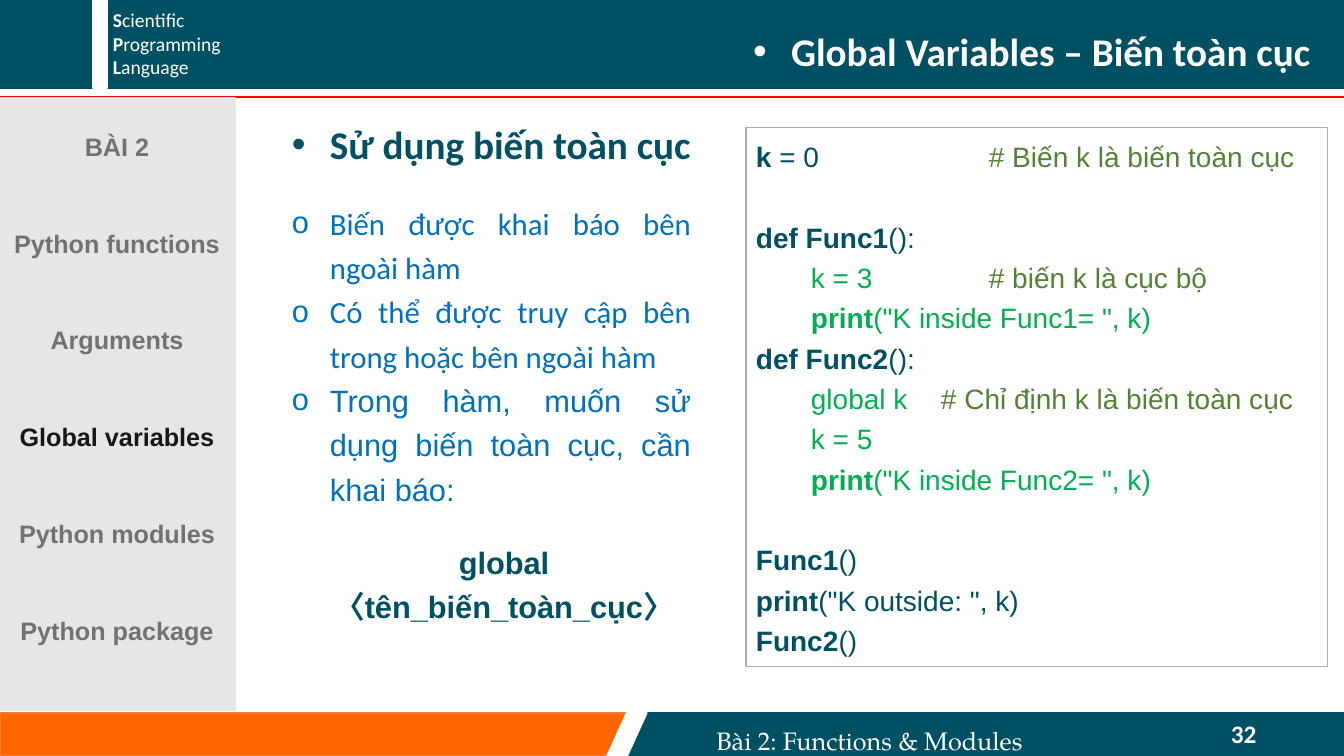
from dataclasses import dataclass

from lxml import etree
from pptx import Presentation
from pptx.dml.color import RGBColor
from pptx.enum.shapes import MSO_CONNECTOR, MSO_SHAPE
from pptx.enum.text import MSO_ANCHOR, MSO_AUTO_SIZE, PP_ALIGN
from pptx.oxml.ns import qn
from pptx.util import Emu, Pt

RECT, SLANT = MSO_SHAPE.RECTANGLE, MSO_SHAPE.PARALLELOGRAM
STRAIGHT = MSO_CONNECTOR.STRAIGHT
LEFT, CENTER, RIGHT, JUSTIFY = PP_ALIGN.LEFT, PP_ALIGN.CENTER, PP_ALIGN.RIGHT, PP_ALIGN.JUSTIFY
TOP, MIDDLE = MSO_ANCHOR.TOP, MSO_ANCHOR.MIDDLE
FIT_SHAPE, NO_FIT = MSO_AUTO_SIZE.SHAPE_TO_FIT_TEXT, MSO_AUTO_SIZE.NONE
WIDTH, HEIGHT = 1344, 756
EMU_PER_PX = 12192000 / WIDTH
HANG = 38


@dataclass(frozen=True)
class Theme:
    """Colours, fonts and type sizes of the slide."""
    teal: str = "005064"
    white: str = "FFFFFF"
    orange: str = "FF6600"
    orange_edge: str = "ED7D31"
    red: str = "FF0000"
    panel: str = "E7E6E6"
    muted: str = "767171"
    current: str = "181717"
    blue: str = "0070C0"
    green: str = "00B050"
    comment: str = "548235"
    frame: str = "AFABAB"
    sans: str = "Arial"
    heading: str = "Calibri"
    serif: str = "TeX Gyre Pagella"
    tagline_size: int = 14
    small_size: int = 18
    code_size: int = 20
    body_size: int = 22
    title_size: int = 28


THEME = Theme()

TOPICS = ["BÀI 2", "Python functions", "Arguments", "Global variables",
          "Python modules", "Python package"]
CURRENT_TOPIC = "Global variables"
RULES = [
    ("Biến được khai báo bên ngoài hàm", THEME.heading),
    ("Có thể được truy cập bên trong hoặc bên ngoài hàm", THEME.heading),
    ("Trong hàm, muốn sử dụng biến toàn cục, cần khai báo:", THEME.sans),
]

INDENT_STOP, COMMENT_STOP, LONG_COMMENT_STOP = 55, 233, 185
BLANK_LINE = 28.8
BOLD = {"bold": True}
LOCAL = {"color": THEME.green}
LOCAL_BOLD = {"color": THEME.green, "bold": True}
COMMENT = {"color": THEME.comment}
CODE = [
    [("k", BOLD), (" = 0\t", {}), ("# Biến k là biến toàn cục", COMMENT)],
    [("def Func1", BOLD), ("():", {})],
    [("\tk = 3\t", LOCAL), ("# biến k là cục bộ", COMMENT)],
    [("\tprint", LOCAL_BOLD), ("(\"K inside Func1= \", k)", LOCAL)],
    [("def Func2", BOLD), ("():", {})],
    [("\tglobal k\t", LOCAL), ("# Chỉ định k là biến toàn cục", COMMENT)],
    [("\tk = 5", LOCAL)],
    [("\tprint", LOCAL_BOLD), ("(\"K inside Func2= \", k)", LOCAL)],
    [("Func1", BOLD), ("()", {})],
    [("print", BOLD), ("(\"K outside: \", k)", {})],
    [("Func2", BOLD), ("()", {})],
]
LINES_AFTER_BLANK = (1, 8)
LONG_COMMENT_LINE = 5


def px(length):
    """Turn a length in px into EMU."""
    return Emu(round(length * EMU_PER_PX))


def rgb(color):
    """Turn a hex string into a colour."""
    return RGBColor.from_string(color)


def add_block(slide, box, fill, edge, edge_width=1, preset=RECT):
    """Add a preset shape with a fill, which may be None, and an outline."""
    block = slide.shapes.add_shape(preset, *map(px, box))
    block.shadow.inherit = False
    if fill:
        block.fill.solid()
        block.fill.fore_color.rgb = rgb(fill)
    else:
        block.fill.background()
    block.line.color.rgb = rgb(edge)
    block.line.width = Pt(edge_width)
    return block


def add_rule(slide, start, end, color, width):
    """Add a straight line without a shadow."""
    rule = slide.shapes.add_connector(STRAIGHT, *map(px, start + end))
    rule.line.color.rgb = rgb(color)
    rule.line.width = Pt(width)
    etree.SubElement(rule._element.spPr, qn("a:effectLst"))


def prepare(frame, grow=False, anchor=TOP):
    """Set wrapping, fitting and anchoring of a text frame."""
    frame.word_wrap = True
    frame.auto_size = FIT_SHAPE if grow else NO_FIT
    frame.vertical_anchor = anchor
    return frame


def add_text_frame(slide, box, grow=True):
    """Add a text box and return its frame."""
    return prepare(slide.shapes.add_textbox(*map(px, box)).text_frame, grow)


def add_paragraph(frame, align=LEFT, spacing=None, before=None, bullet=None, stops=()):
    """Add a paragraph, using the empty first one when there is one."""
    first = frame.paragraphs[0]
    paragraph = frame.add_paragraph() if first.runs else first
    paragraph.alignment = align
    paragraph.line_spacing = spacing
    if before:
        paragraph.space_before = Pt(before)
    properties = paragraph._p.get_or_add_pPr()
    if bullet:
        properties.set("marL", str(px(HANG)))
        properties.set("indent", str(-px(HANG)))
        etree.SubElement(properties, qn("a:buFont"), typeface=THEME.sans)
        etree.SubElement(properties, qn("a:buChar"), char=bullet)
    if stops:
        tabs = etree.SubElement(properties, qn("a:tabLst"))
        for stop in stops:
            etree.SubElement(tabs, qn("a:tab"), pos=str(px(stop)), algn="l")
    return paragraph


def write(paragraph, text, size, color=THEME.teal, font=THEME.sans, bold=False):
    """Write a formatted piece of text into a paragraph."""
    run = paragraph.add_run()
    run.text = text
    run.font.size = Pt(size)
    run.font.name = font
    run.font.bold = bold
    run.font.color.rgb = rgb(color)


def add_header(slide):
    """Add the top band with the course name and the slide title."""
    add_block(slide, (0, 0, WIDTH, 88), THEME.teal, THEME.teal)
    add_block(slide, (93, 0, 14, 88), THEME.white, THEME.white)
    course = add_text_frame(slide, (103, 3, 210, 82))
    for word in ("Scientific", "Programming", "Language"):
        line = add_paragraph(course)
        for part, bold in ((word[0], True), (word[1:], False)):
            write(line, part, THEME.tagline_size, THEME.white, THEME.heading, bold)
    add_rule(slide, (0, 97), (WIDTH, 97), THEME.red, 1.5)
    title = add_paragraph(add_text_frame(slide, (338, 13, 982, 68)), RIGHT, 1.2, bullet="•")
    write(title, "Global Variables – Biến toàn cục", THEME.title_size,
          THEME.white, THEME.heading, True)


def add_footer(slide):
    """Add the bottom band with the lesson name and the page number."""
    add_block(slide, (0, 713, 627, 43), THEME.orange, THEME.orange_edge)
    add_block(slide, (627, 713, 717, 43), THEME.teal, THEME.teal)
    divider = add_block(slide, (607, 713, 40, 43), THEME.white, THEME.white, preset=SLANT)
    divider.adjustments[0] = 0.49
    page = add_paragraph(add_text_frame(slide, (1221, 713, 108, 40), grow=False))
    write(page, "32", THEME.small_size, THEME.white, THEME.heading, True)
    lesson = add_paragraph(add_text_frame(slide, (627, 714, 485, 46)), CENTER, 1.2, before=4)
    write(lesson, "Bài 2: Functions & Modules", THEME.small_size, THEME.white, THEME.serif)


def add_sidebar(slide):
    """Add the list of topics with the current one in dark."""
    panel = add_block(slide, (-1, 98, 236, 612), THEME.panel, THEME.panel)
    topics = prepare(panel.text_frame, anchor=MIDDLE)
    topics.margin_bottom = px(103)
    for topic in TOPICS:
        color = THEME.current if topic == CURRENT_TOPIC else THEME.muted
        write(add_paragraph(topics, CENTER, 3.2), topic, THEME.small_size, color, bold=True)


def add_explanation(slide):
    """Add the heading, the rules and the declaration form."""
    heading = add_paragraph(add_text_frame(slide, (282, 106, 977, 62)), spacing=1.2, bullet="•")
    write(heading, "Sử dụng biến toàn cục", THEME.title_size, font=THEME.heading, bold=True)
    rules = add_text_frame(slide, (282, 192, 419, 324))
    for rule, font in RULES:
        write(add_paragraph(rules, JUSTIFY, 1.2, bullet="o"), rule, THEME.body_size,
              THEME.blue, font)


def add_code(slide):
    """Add the framed program listing."""
    listing = add_block(slide, (746, 128, 582, 539), None, THEME.frame, 0.75)
    code = prepare(listing.text_frame, grow=True)
    for number, pieces in enumerate(CODE):
        comment_stop = LONG_COMMENT_STOP if number == LONG_COMMENT_LINE else COMMENT_STOP
        before = BLANK_LINE if number in LINES_AFTER_BLANK else None
        line = add_paragraph(code, spacing=1.2, before=before, stops=(INDENT_STOP, comment_stop))
        for text, style in pieces:
            write(line, text, THEME.code_size, **style)


def add_declaration(slide):
    """Add the form of a global declaration."""
    declaration = add_paragraph(add_text_frame(slide, (285, 531, 438, 55)), CENTER, 1.2)
    write(declaration, "global 〈tên_biến_toàn_cục〉", THEME.body_size, bold=True)


def main():
    """Build the slide and save it."""
    deck = Presentation()
    deck.slide_width, deck.slide_height = px(WIDTH), px(HEIGHT)
    slide = deck.slides.add_slide(deck.slide_layouts[6])
    for add_part in (add_header, add_footer, add_sidebar, add_explanation,
                     add_code, add_declaration):
        add_part(slide)
    deck.save("out.pptx")


if __name__ == "__main__":
    main()
